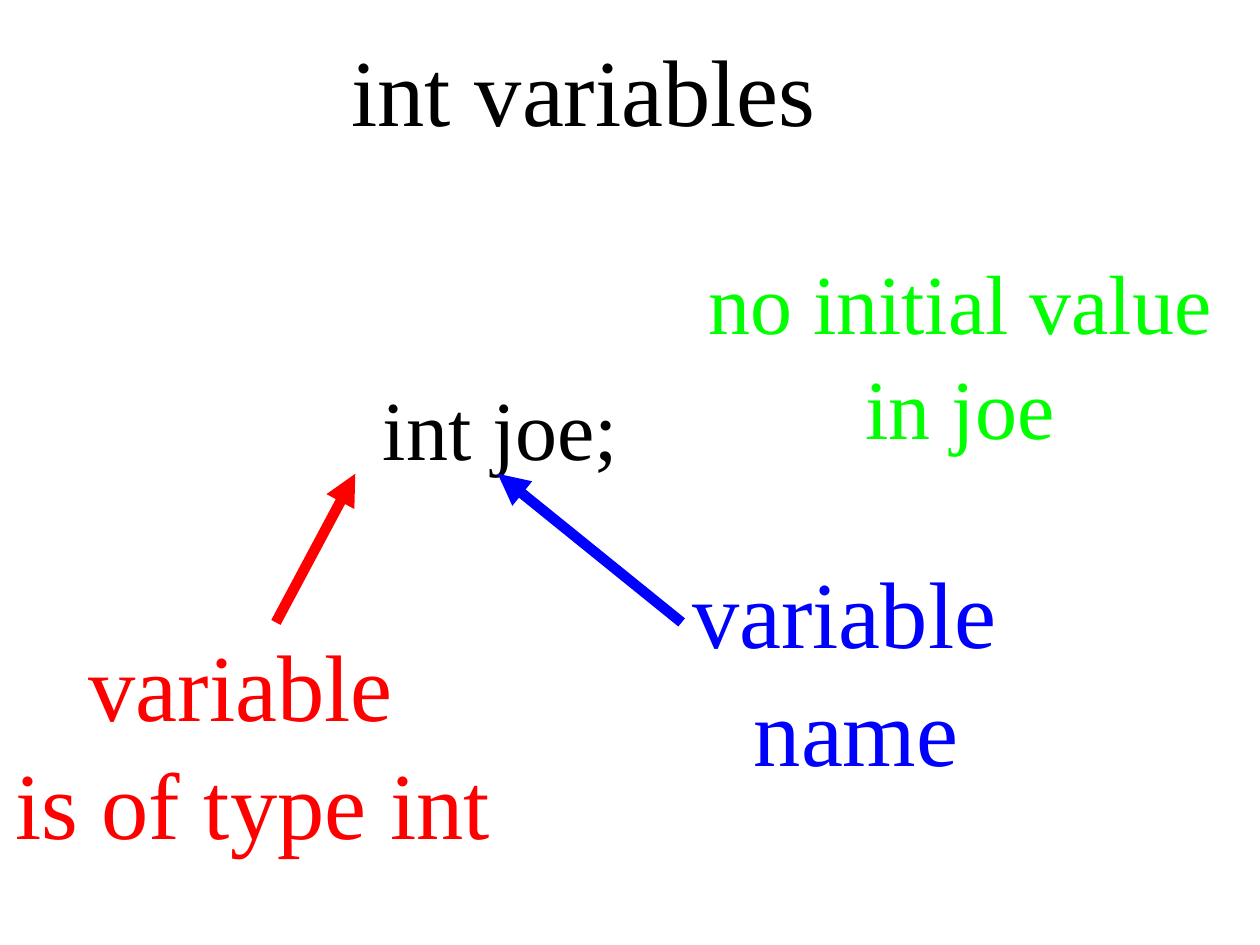
from dataclasses import dataclass

from lxml.etree import SubElement
from pptx import Presentation
from pptx.dml.color import RGBColor
from pptx.enum.shapes import MSO_CONNECTOR
from pptx.enum.text import MSO_ANCHOR, PP_ALIGN
from pptx.oxml.ns import qn
from pptx.slide import Slide
from pptx.text.text import TextFrame
from pptx.util import Inches, Pt

FONT = "Times New Roman"
BLACK, RED, GREEN, BLUE = "000000", "FF0000", "00FF00", "0000FF"


@dataclass
class Label:
    lines: list[str]
    left: float
    top: float
    width: float
    height: float
    size: int
    color: str
    align: PP_ALIGN = PP_ALIGN.CENTER


@dataclass
class Arrow:
    start: tuple[float, float]
    end: tuple[float, float]
    color: str


TITLE = Label(["int variables"], 2.69, 0.17, 5.33, 1, 54, BLACK, PP_ALIGN.LEFT)
LABELS = [
    Label(["int joe;"], 2.94, 2.91, 5.9, 0.9, 48, BLACK, PP_ALIGN.LEFT),
    Label(["variable ", "name"], 5.39, 4.31, 2.81, 1.9, 54, BLUE),
    Label(["variable ", "is of type int"], 0.02, 4.89, 3.97, 1.9, 54, RED),
    Label(["no initial value", "in joe"], 5.52, 1.91, 4.2, 1.7, 48, GREEN),
]
ARROWS = [
    Arrow((5.41, 4.94), (3.95, 3.76), BLUE),
    Arrow((2.19, 4.94), (2.82, 3.76), RED),
]


def rgb(color: str) -> RGBColor:
    return RGBColor.from_string(color)


def write_text(frame: TextFrame, label: Label) -> None:
    frame.word_wrap = False
    frame.vertical_anchor = MSO_ANCHOR.TOP
    frame.text = "\n".join(label.lines)
    for paragraph in frame.paragraphs:
        paragraph.alignment = label.align
        paragraph.line_spacing = 1.04
        paragraph.font.name = FONT
        paragraph.font.size = Pt(label.size)
        paragraph.font.color.rgb = rgb(label.color)


def add_title(slide: Slide, label: Label) -> None:
    title = slide.shapes.title
    title.left, title.top = Inches(label.left), Inches(label.top)
    title.width, title.height = Inches(label.width), Inches(label.height)
    write_text(title.text_frame, label)


def add_label(slide: Slide, label: Label) -> None:
    box = slide.shapes.add_textbox(
        Inches(label.left), Inches(label.top), Inches(label.width), Inches(label.height)
    )
    write_text(box.text_frame, label)


def add_arrow(slide: Slide, arrow: Arrow) -> None:
    ends = [Inches(value) for value in (*arrow.start, *arrow.end)]
    connector = slide.shapes.add_connector(MSO_CONNECTOR.STRAIGHT, *ends)
    connector.line.color.rgb = rgb(arrow.color)
    connector.line.width = Pt(6)
    SubElement(connector.line._get_or_add_ln(), qn("a:tailEnd"), type="triangle")
    SubElement(connector._element.spPr, qn("a:effectLst"))


def main() -> None:
    presentation = Presentation()
    presentation.slide_width, presentation.slide_height = Inches(10), Inches(7.5)
    slide = presentation.slides.add_slide(presentation.slide_layouts[5])
    add_title(slide, TITLE)
    for label in LABELS:
        add_label(slide, label)
    for arrow in ARROWS:
        add_arrow(slide, arrow)
    presentation.save("out.pptx")


if __name__ == "__main__":
    main()
